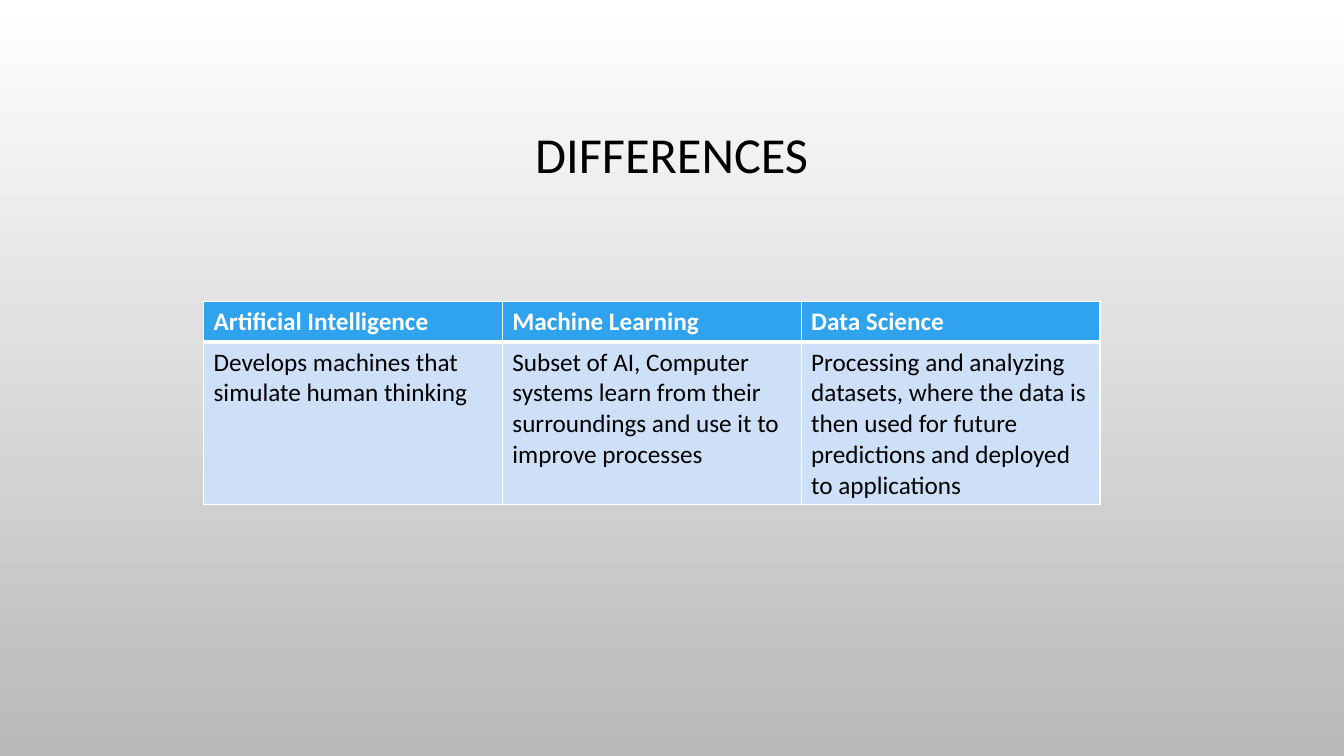
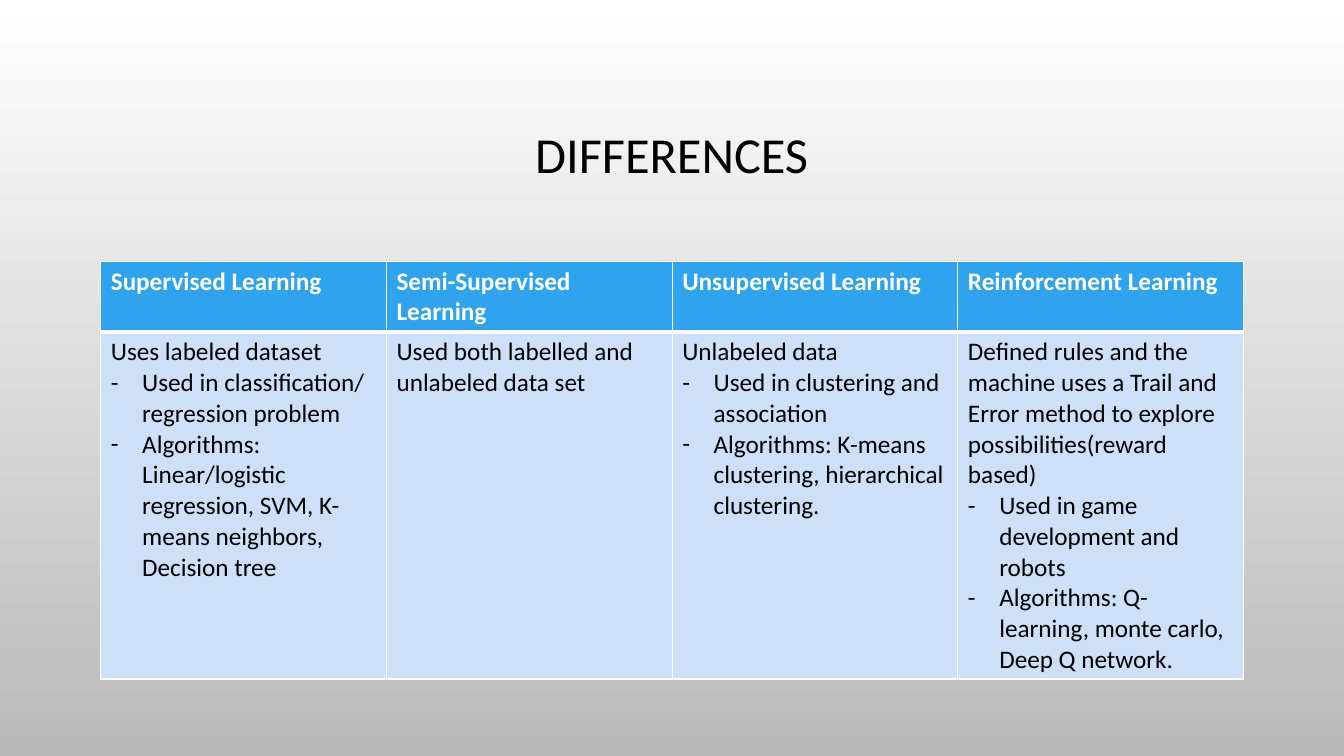
from lxml import etree
from pptx import Presentation
from pptx.dml.color import RGBColor
from pptx.enum.text import MSO_ANCHOR, PP_ALIGN
from pptx.oxml import parse_xml
from pptx.oxml.ns import nsdecls, qn
from pptx.util import Cm, Pt

WHITE = RGBColor(0xFF, 0xFF, 0xFF)
GRAY = RGBColor(0xB9, 0xB9, 0xB9)
BLACK = RGBColor(0x00, 0x00, 0x00)
BLUE = RGBColor(0x2F, 0xA3, 0xEE)
PALE_BLUE = RGBColor(0xCD, 0xE0, 0xF8)
FONT = "Calibri"
BULLET_INDENT = Cm(0.79)

comparisons = [
    {
        "left": 5.13, "top": 7.59, "column_width": 7.53, "row_heights": (1.03, 4.1),
        "topics": [
            ("Artificial Intelligence ",
             ["Develops machines that simulate human thinking"]),
            ("Machine Learning ",
             ["Subset of AI, Computer systems learn from their surroundings "
              "and use it to improve processes"]),
            ("Data Science",
             ["Processing and analyzing datasets, where the data is then used "
              "for future predictions and deployed to applications"]),
        ],
    },
    {
        "left": 2.54, "top": 6.58, "column_width": 7.2, "row_heights": (1.77, 8.75),
        "topics": [
            ("Supervised Learning",
             ["Uses labeled dataset",
              "Used in classification/ regression problem",
              "Algorithms: Linear/logistic regression, SVM, K-means neighbors, Decision tree"]),
            ("Semi-Supervised Learning",
             ["Used both labelled and unlabeled data set"]),
            ("Unsupervised Learning",
             ["Unlabeled data",
              "Used in clustering and association",
              "Algorithms: K-means clustering, hierarchical clustering."]),
            ("Reinforcement Learning",
             ["Defined rules and the machine uses a Trail and Error method "
              "to explore possibilities(reward based)",
              "Used in game development and robots",
              "Algorithms: Q-learning, monte carlo, Deep Q network."]),
        ],
    },
]


def style_run(run, size, color, bold=False):
    run.font.name = FONT
    run.font.size = Pt(size)
    run.font.color.rgb = color
    run.font.bold = bold


def fill_cell(cell, lines, fill, color, bold, bottom_width):
    properties = cell._tc.get_or_add_tcPr()
    for side, width in (("L", 1), ("R", 1), ("T", 1), ("B", bottom_width)):
        properties.append(parse_xml(
            f'<a:ln{side} {nsdecls("a")} w="{Pt(width)}"><a:solidFill>'
            f'<a:srgbClr val="{WHITE}"/></a:solidFill></a:ln{side}>'))
    cell.fill.solid()
    cell.fill.fore_color.rgb = fill
    cell.text_frame.text = "\n".join(lines)
    for index, paragraph in enumerate(cell.text_frame.paragraphs):
        style_run(paragraph.runs[0], 18, color, bold)
        if index:
            bullet = paragraph._p.get_or_add_pPr()
            bullet.set("marL", str(BULLET_INDENT))
            bullet.set("indent", str(-BULLET_INDENT))
            etree.SubElement(bullet, qn("a:buFont")).set("typeface", FONT)
            etree.SubElement(bullet, qn("a:buChar")).set("char", "-")


prs = Presentation()
prs.slide_width = Cm(33.87)
prs.slide_height = Cm(19.05)

for comparison in comparisons:
    slide = prs.slides.add_slide(prs.slide_layouts[6])
    backdrop = slide.background.fill
    backdrop.gradient()
    backdrop.gradient_angle = 270
    for stop, shade in zip(backdrop.gradient_stops, (WHITE, GRAY)):
        stop.color.rgb = shade

    title = slide.shapes.add_textbox(Cm(2.54), Cm(1.73), Cm(28.78), Cm(4.45)).text_frame
    title.word_wrap = True
    title.vertical_anchor = MSO_ANCHOR.MIDDLE
    title.text = "DIFFERENCES"
    heading = title.paragraphs[0]
    heading.alignment = PP_ALIGN.CENTER
    heading.line_spacing = 0.9
    style_run(heading.runs[0], 36, BLACK)

    topics = comparison["topics"]
    heights = comparison["row_heights"]
    table = slide.shapes.add_table(
        2, len(topics), Cm(comparison["left"]), Cm(comparison["top"]),
        Cm(comparison["column_width"] * len(topics)), Cm(sum(heights))).table
    for row, height in zip(table.rows, heights):
        row.height = Cm(height)
    for column, (name, details) in enumerate(topics):
        table.columns[column].width = Cm(comparison["column_width"])
        fill_cell(table.cell(0, column), [name], BLUE, WHITE, True, 3)
        fill_cell(table.cell(1, column), details, PALE_BLUE, BLACK, False, 1)

prs.save("out.pptx")
